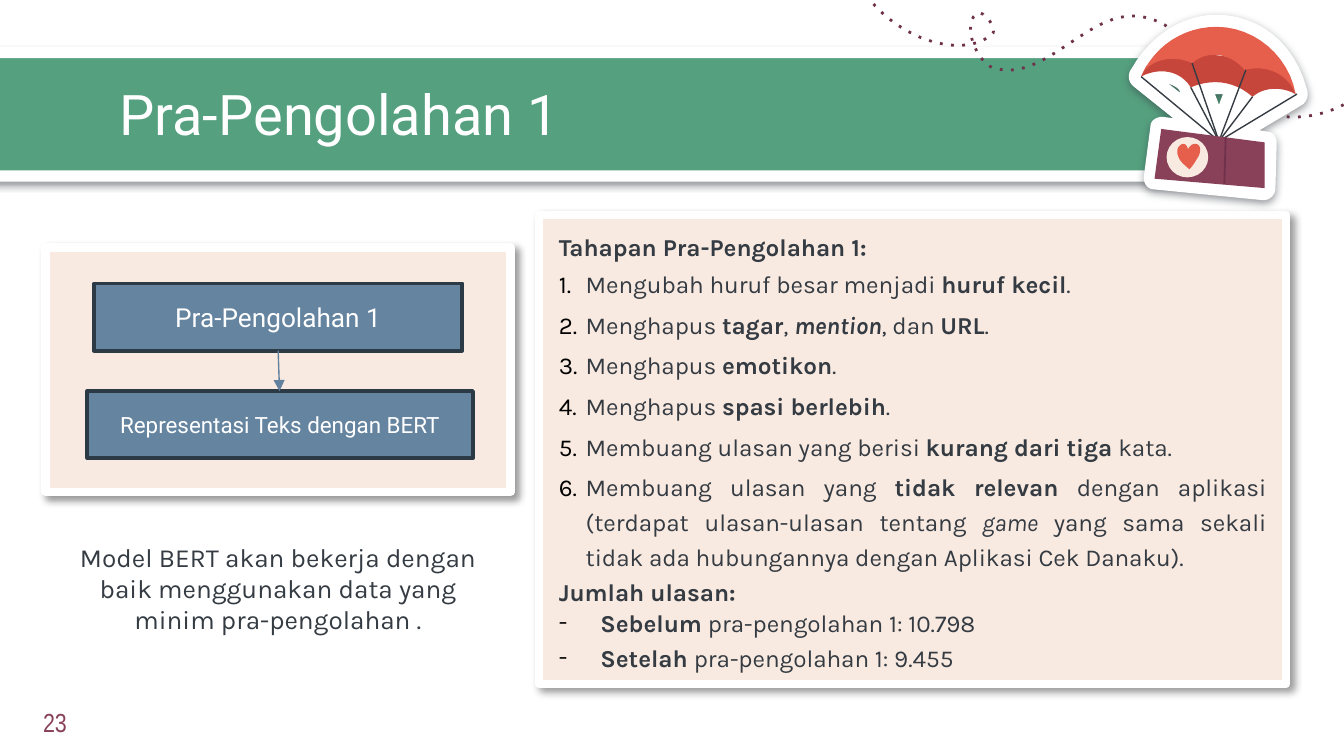
from lxml import etree
from pptx import Presentation
from pptx import util as u
from pptx.dml.color import RGBColor
from pptx.enum import shapes, text
from pptx.oxml import ns

# The slide is a grid of 100 columns; cells are square, so it has 56.25 rows.
COLUMNS, ROWS = 100, 56.25
CELL = u.Inches(0.1)

INK, WHITE, CREAM = "343B42", "FFFFFF", "F9EAE1"
GREEN, BLUE, NAVY, STEEL = "55A07F", "6584A0", "2C3A46", "61819E"
RED, ORANGE, PLUM, WINE = "C6463C", "E65E4C", "894059", "70324A"

TRAIL = ("M 64.1 -1.1 C 65.5 2.1 71.1 4.8 73.8 2.6 C 74.3 2.2 73.2 0.7 72.7 1 "
         "C 71.5 1.8 72.7 4.7 74 5.1 C 77.7 6.2 81 0.7 84.8 1.2 "
         "C 88.8 1.7 90.6 7.4 94.5 8.5 C 96.4 9 98.7 8.6 100.3 7.6 "
         "C 101.4 6.9 101.1 5.1 101.5 3.8")
STICKER = ("M 90.5 1.1 C 93.7 1.1 96.3 3.2 97.2 6.5 C 97.4 7 97.3 7.5 96.9 7.8 "
           "L 93.7 9.7 L 94.3 9.8 C 94.7 9.8 95 10.2 95 10.6 L 94.9 14 "
           "C 94.9 14.5 94.5 14.9 94 14.9 L 85.9 14.1 C 85.4 14.1 85.1 13.7 85.1 13.2 "
           "L 85.6 9.4 C 85.6 9 86 8.7 86.5 8.7 L 87.3 8.8 L 84.3 6.4 "
           "C 83.9 6 83.9 5.5 84.2 5.1 C 85.6 2.6 88 1.1 90.5 1.1 "
           "M 86.9 6.2 L 87.8 6.9 C 87.8 6.6 87.4 6.4 86.9 6.2 "
           "M 90.4 7 L 90.7 7.8 L 91 7")
CANOPY_STRIPE = ("M 87.2 3.7 L 95.3 4.7 C 95.7 5.5 96.1 6.2 96.4 7 "
                 "C 95.3 6.4 94 6.5 93.2 7.2 C 91.7 5.9 90 5.9 88.6 6.5 "
                 "C 87.8 5.2 86.2 5 84.9 5.7 L 85.3 4.9")
CANOPY = ("M 90.5 2 C 93.4 2 95.9 4.2 96.4 7 C 95.8 5.5 94.3 4.8 92.6 5.2 "
          "C 91.4 3.8 89.7 3.8 88.7 4.7 C 87.2 4 85.4 4.5 84.9 5.7 "
          "C 85.9 3.4 88.1 2 90.5 2")
PARCEL = "M 86.4 9.6 L 94.1 10.6 L 94.1 14 L 85.9 13.3"
HEART = ("M 88.9 10.7 C 88.7 10.7 88.5 10.9 88.4 11.1 C 88.3 10.8 88.2 10.7 88 10.7 "
         "C 87.5 10.9 87.5 11.4 87.8 11.9 C 88 12.2 88.3 12.4 88.5 12.6 "
         "C 88.8 12.3 89 11.9 89.2 11.6 C 89.4 11.1 89.3 10.7 88.9 10.7")
CORD_TOPS = [(84.9, 5.7), (88.7, 4.7), (88.6, 6.5), (93.2, 7.2), (92.7, 5.2), (96.5, 7)]
CORD_KNOT = (90.7, 10.5)

STEPS = [
    [("Mengubah huruf besar menjadi ", ""), ("huruf kecil", "b"), (".", "")],
    [("Menghapus ", ""), ("tagar", "b"), (", ", ""), ("mention", "bi"),
     (", dan ", ""), ("URL", "b"), (".", "")],
    [("Menghapus ", ""), ("emotikon", "b"), (".", "")],
    [("Menghapus ", ""), ("spasi berlebih", "b"), (".", "")],
    [("Membuang ulasan yang berisi ", ""), ("kurang dari tiga ", "b"), ("kata.", "")],
    [("Membuang ulasan yang ", ""), ("tidak relevan ", "b"),
     ("dengan aplikasi (terdapat ulasan-ulasan tentang ", ""), ("game", "i"),
     (" yang sama sekali tidak ada hubungannya dengan Aplikasi Cek Danaku).", "")],
]
COUNTS = [("Sebelum ", "pra-pengolahan 1: 10.798"),
          ("Setelah ", "pra-pengolahan 1: 9.455")]


def cells(*counts):
    return [u.Emu(round(count * CELL)) for count in counts]


def color(target, hex_code):
    """Colour a fill, line or font."""
    if hasattr(target, "solid"):
        target.solid()
        target.fore_color.rgb = RGBColor.from_string(hex_code)
    else:
        target.color.rgb = RGBColor.from_string(hex_code)


def child(parent, tag, **attributes):
    element = etree.SubElement(parent, ns.qn(tag))
    for name, value in attributes.items():
        element.set(name, str(value))
    return element


def paint(shape, fill=None, line=None, width=0, shadow=None):
    """Set fill, outline and shadow (hex, opacity %, blur, distance, angle)."""
    if fill:
        color(shape.fill, fill)
    else:
        shape.fill.background()
    if line:
        color(shape.line, line)
        shape.line.width = u.Pt(width)
    else:
        shape.line.fill.background()
    shape.shadow.inherit = False
    if shadow:
        tint, opacity, blur, distance, angle = shadow
        effects = shape._element.spPr.find(ns.qn("a:effectLst"))
        outer = child(effects, "a:outerShdw", blurRad=u.Pt(blur), dist=u.Pt(distance),
                      dir=angle * 60000, algn="bl", rotWithShape=0)
        child(child(outer, "a:srgbClr", val=tint), "a:alpha", val=opacity * 1000)


def preset(slide, kind, place, **look):
    shape = slide.shapes.add_shape(kind, *cells(*place))
    paint(shape, **look)
    return shape


def contours(outline, steps=12):
    """Turn M, L and C commands into lists of points, sampling each curve."""
    for part in outline.split("M ")[1:]:
        points, tokens = [], ("L " + part).split()
        while tokens:
            size = 6 if tokens[0] == "C" else 2
            numbers = [float(token) for token in tokens[1:size + 1]]
            tokens = tokens[size + 1:]
            pairs = list(zip(numbers[::2], numbers[1::2]))
            if size == 2:
                points += pairs
                continue
            curve = [points[-1], *pairs]
            for step in range(1, steps + 1):
                t = step / steps
                weights = ((1 - t) ** 3, 3 * t * (1 - t) ** 2, 3 * t * t * (1 - t), t ** 3)
                points.append(tuple(sum(w * p[axis] for w, p in zip(weights, curve))
                                    for axis in (0, 1)))
        yield [cells(*point) for point in points]


def outline_shape(slide, outline, closed=True, **look):
    first, *holes = contours(outline)
    builder = slide.shapes.build_freeform(*first[0], scale=1.0)
    builder.add_line_segments(first[1:], close=closed)
    for hole in holes:
        builder.move_to(*hole[0])
        builder.add_line_segments(hole[1:], close=closed)
    shape = builder.convert_to_shape()
    paint(shape, **look)
    return shape


def connect(slide, start, end, hex_code, width):
    line = slide.shapes.add_connector(shapes.MSO_CONNECTOR.STRAIGHT,
                                      *cells(*start), *cells(*end))
    color(line.line, hex_code)
    line.line.width = u.Pt(width)
    child(line._element.spPr, "a:effectLst")
    return line


def write(paragraph, runs, font, size, hex_code):
    for words, style in runs:
        run = paragraph.add_run()
        run.text = words
        run.font.name, run.font.size = font, u.Pt(size)
        run.font.bold, run.font.italic = "b" in style, "i" in style
        color(run.font, hex_code)


def text_area(slide, place, inset=1, anchor=text.MSO_ANCHOR.MIDDLE):
    frame = slide.shapes.add_textbox(*cells(*place)).text_frame
    frame.word_wrap, frame.vertical_anchor = True, anchor
    frame.margin_left = frame.margin_right = cells(inset)[0]
    frame.margin_top = frame.margin_bottom = cells(inset)[0]
    return frame


def bullet(paragraph, indent, tag, **kind):
    properties = paragraph._p.get_or_add_pPr()
    properties.set("marL", str(cells(indent)[0]))
    properties.set("indent", str(cells(-indent)[0]))
    child(child(properties, "a:buClr"), "a:srgbClr", val="000000")
    child(properties, "a:buFont", typeface="Karla")
    child(properties, tag, **kind)
    paragraph.space_after = u.Pt(3)


def banner(slide):
    band = preset(slide, shapes.MSO_SHAPE.ROUND_2_SAME_RECTANGLE, (40.9, -38.2, 9.2, 93.4),
                  fill=GREEN, line=WHITE, width=6, shadow=(INK, 50, 4.5, 1.5, 90))
    band.adjustments[0], band.adjustments[1] = 0.5, 0
    band.rotation = 90
    title = text_area(slide, (7.9, 4.9, 84.3, 6.3), anchor=text.MSO_ANCHOR.TOP)
    write(title.paragraphs[0], [("Pra-Pengolahan 1", "")], "Roboto", 30, WHITE)


def parachute(slide):
    trail = outline_shape(slide, TRAIL, closed=False, line=WINE, width=1.5)
    child(trail.line._get_or_add_ln(), "a:prstDash", val="dot")
    outline_shape(slide, STICKER, fill=WHITE, shadow=(INK, 50, 4.5, 1.5, 90))
    outline_shape(slide, CANOPY_STRIPE, fill=RED)
    outline_shape(slide, CANOPY, fill=ORANGE)
    for top in CORD_TOPS:
        connect(slide, top, CORD_KNOT, INK, 0.75)
    outline_shape(slide, PARCEL, fill=PLUM)
    connect(slide, (91.2, 10.2), (91.1, 13.7), WINE, 1)
    preset(slide, shapes.MSO_SHAPE.OVAL, (86.8, 10.2, 3.1, 3), fill=CREAM)
    outline_shape(slide, HEART, fill=ORANGE)


def card(slide, place):
    preset(slide, shapes.MSO_SHAPE.RECTANGLE, place, fill=CREAM, line=WHITE,
           width=4.5, shadow=("000000", 40, 4, 3, 45))


def process(slide, place, label, size):
    box = preset(slide, shapes.MSO_SHAPE.RECTANGLE, place, fill=BLUE, line=NAVY, width=2)
    box.text_frame.vertical_anchor = text.MSO_ANCHOR.MIDDLE
    paragraph = box.text_frame.paragraphs[0]
    paragraph.alignment = text.PP_ALIGN.CENTER
    write(paragraph, [(label, "")], "Roboto", size, WHITE)


def stages(slide):
    frame = text_area(slide, (40.6, 15.9, 54.6, 35.5))
    body = ("Karla", 13, INK)
    heading = frame.paragraphs[0]
    heading.space_after = u.Pt(1)
    write(heading, [("Tahapan Pra-Pengolahan 1:", "b")], *body)
    for step in STEPS:
        paragraph = frame.add_paragraph()
        bullet(paragraph, 2, "a:buAutoNum", type="arabicPeriod")
        paragraph.alignment = text.PP_ALIGN.JUSTIFY
        paragraph.line_spacing = 1.2
        write(paragraph, step, *body)
    totals = frame.add_paragraph()
    totals.space_after = u.Pt(1)
    write(totals, [("Jumlah ulasan:", "b")], *body)
    for moment, count in COUNTS:
        paragraph = frame.add_paragraph()
        bullet(paragraph, 3.1, "a:buChar", char="-")
        write(paragraph, [(moment, "b"), (count, "")], *body)


def main():
    deck = Presentation()
    deck.slide_width, deck.slide_height = cells(COLUMNS, ROWS)
    slide = deck.slides.add_slide(deck.slide_layouts[6])
    banner(slide)
    parachute(slide)
    number = text_area(slide, (1.9, 52.7, 96.2, 2), inset=1.3)
    write(number.paragraphs[0], [("23", "")], "Arial Narrow", 14, PLUM)
    card(slide, (3.4, 18.4, 34.6, 18.2))
    card(slide, (40.1, 16, 55.6, 34.9))
    stages(slide)
    process(slide, (7, 21.1, 27.4, 5), "Pra-Pengolahan 1", 14)
    process(slide, (6.5, 29.1, 28.7, 5), "Representasi Teks dengan BERT", 12)
    arrow = connect(slide, (20.7, 26.1), (20.8, 29.1), STEEL, 0.75)
    child(arrow.line._get_or_add_ln(), "a:tailEnd", type="triangle")
    remark = text_area(slide, (3.4, 37.1, 34.6, 13.3)).paragraphs[0]
    remark.alignment = text.PP_ALIGN.CENTER
    write(remark, [("Model BERT akan bekerja dengan baik menggunakan data yang "
                    "minim pra-pengolahan .", "")], "Karla", 14, INK)
    deck.save("out.pptx")


if __name__ == "__main__":
    main()
